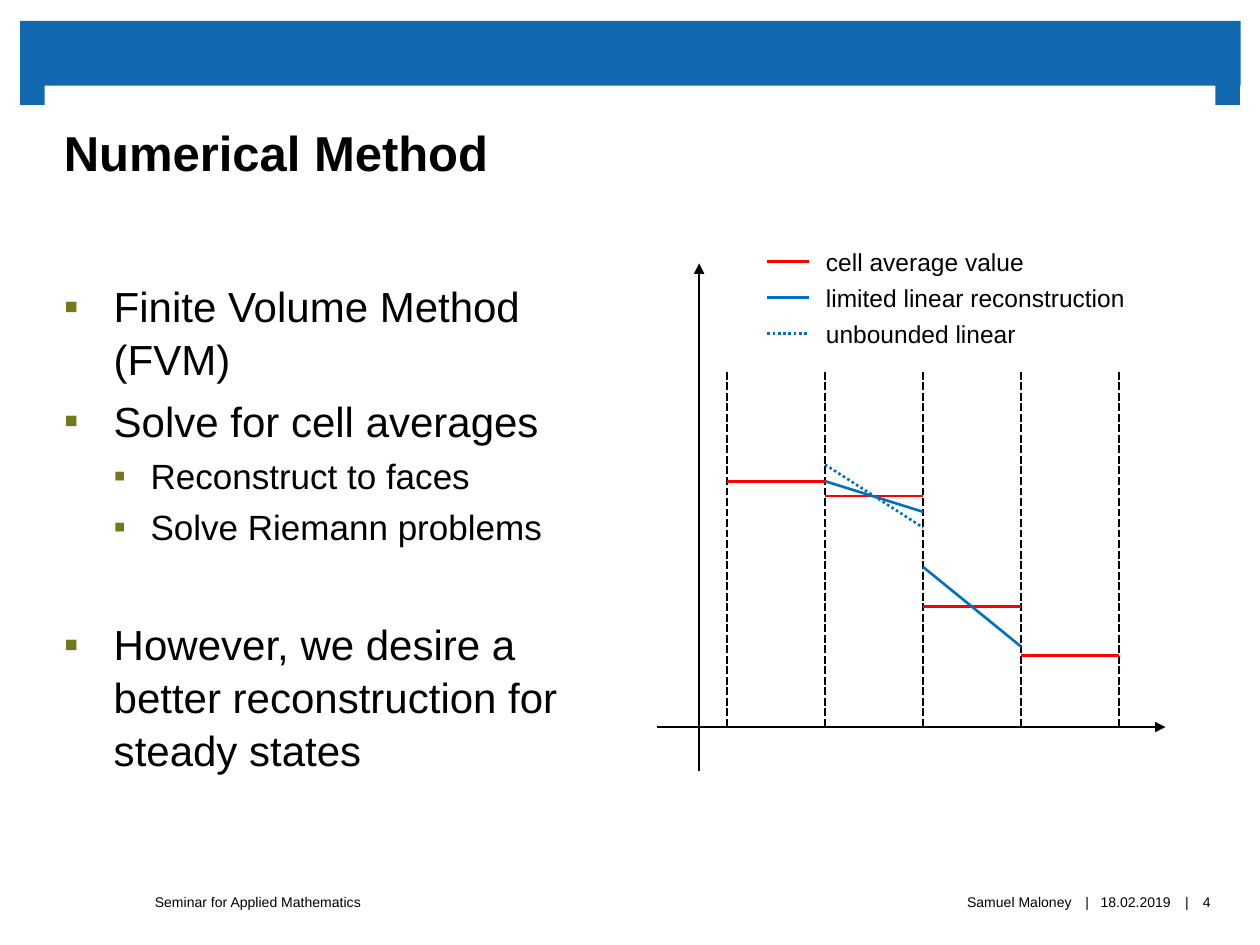
import pptx
import pptx.util
from lxml import etree
from pptx.dml.color import RGBColor
from pptx.enum.dml import MSO_LINE
from pptx.enum.shapes import MSO_CONNECTOR, MSO_SHAPE
from pptx.enum.text import MSO_ANCHOR, PP_ALIGN
from pptx.oxml.ns import qn

Pt = pptx.util.Pt
FONT = "Arial"
COLORS = {
    "banner": "1269B0",
    "bullet": "72791C",
    "text": "000000",
    "paper": "FFFFFF",
    "average": "FF0000",
    "reconstruction": "0070C0",
}


def add_line(start, end, color, dash=None, arrow=False):
    line = slide.shapes.add_connector(
        MSO_CONNECTOR.STRAIGHT, *(Pt(v) for v in (*start, *end)))
    line.line.color.rgb = RGBColor.from_string(COLORS[color])
    line.line.width = Pt(1.5)
    if dash:
        line.line.dash_style = dash
    if arrow:
        outline = line.line._get_or_add_ln()
        etree.SubElement(outline, qn("a:tailEnd"), type="triangle")
    etree.SubElement(line._element.spPr, qn("a:effectLst"))


def add_label(text, left, top, width, height, size, align=PP_ALIGN.LEFT):
    """Add a one-line text box without insets, centred vertically."""
    box = slide.shapes.add_textbox(Pt(left), Pt(top), Pt(width), Pt(height))
    frame = box.text_frame
    frame.margin_left = frame.margin_right = 0
    frame.margin_top = frame.margin_bottom = 0
    frame.vertical_anchor = MSO_ANCHOR.MIDDLE
    frame.word_wrap = True
    frame.text = text
    paragraph = frame.paragraphs[0]
    paragraph.alignment = align
    paragraph.font.size = Pt(size)
    paragraph.font.name = FONT
    paragraph.font.color.rgb = RGBColor.from_string(COLORS["text"])


prs = pptx.Presentation()
prs.slide_width, prs.slide_height = Pt(720), Pt(540)
slide = prs.slides.add_slide(prs.slide_layouts[1])
title, body = slide.placeholders[0], slide.placeholders[1]

# Banner with its two corner tabs
for left, top, width, height in [(11.5, 12, 697.5, 37),
                                 (11.5, 47, 14, 13),
                                 (694.5, 47, 14, 13)]:
    banner = slide.shapes.add_shape(
        MSO_SHAPE.RECTANGLE, Pt(left), Pt(top), Pt(width), Pt(height))
    banner.shadow.inherit = False
    banner.fill.solid()
    banner.fill.fore_color.rgb = RGBColor.from_string(COLORS["banner"])
    banner.line.fill.background()

# Title and list
for holder, top, width, height in [(title, 49, 669, 76), (body, 159, 343.5, 331)]:
    holder.left, holder.top = Pt(25.5), Pt(top)
    holder.width, holder.height = Pt(width), Pt(height)
    frame = holder.text_frame
    frame.margin_left, frame.margin_right = Pt(11), Pt(11.5)
    frame.margin_top = frame.margin_bottom = 0
    frame.word_wrap = True

title.text_frame.text = "Numerical Method"
title.text_frame.vertical_anchor = MSO_ANCHOR.MIDDLE
heading = title.text_frame.paragraphs[0]
heading.alignment = PP_ALIGN.LEFT
heading.font.size = Pt(28)
heading.font.bold = True
heading.font.name = FONT
heading.font.color.rgb = RGBColor.from_string(COLORS["text"])

# (text, level, space before)
points = [
    ("Finite Volume Method (FVM)", 0, 0),
    ("Solve for cell averages", 0, 5),
    ("Reconstruct to faces", 1, 4),
    ("Solve Riemann problems", 1, 4),
    ("However, we desire a better reconstruction for steady states", 0, 39),
]
body.text_frame.text = "\n".join(text for text, _, _ in points)
# (left margin, hanging indent, font size) per level
levels = [(28.5, 28.5, 24), (49.5, 21, 20)]
for paragraph, (_, level, space) in zip(body.text_frame.paragraphs, points):
    margin, hanging, size = levels[level]
    paragraph.level = level
    paragraph.line_spacing = 1.05
    paragraph.space_before = Pt(space)
    properties = paragraph._p.get_or_add_pPr()
    properties.set("marL", str(Pt(margin)))
    properties.set("indent", str(-Pt(hanging)))
    bullet_color = etree.SubElement(properties, qn("a:buClr"))
    etree.SubElement(bullet_color, qn("a:srgbClr"), val=COLORS["bullet"])
    etree.SubElement(properties, qn("a:buFont"), typeface=FONT)
    etree.SubElement(properties, qn("a:buChar"), char="▪")
    paragraph.font.size = Pt(size)
    paragraph.font.name = FONT
    paragraph.font.color.rgb = RGBColor.from_string(COLORS["text"])

# Axes and cell faces
axis_y = 415.5
add_line((399.5, 440.5), (399.5, 150.5), "text", arrow=True)
add_line((375.5, axis_y), (666, axis_y), "text", arrow=True)
faces = [415.5 + 56 * i for i in range(5)]
for face in faces:
    add_line((face, 212.5), (face, axis_y), "text", MSO_LINE.SQUARE_DOT)

# Cell averages, then the reconstructions as (cell, left value, right value, dash)
for left, right, average in zip(faces, faces[1:], [275, 283.5, 346.5, 374.5]):
    add_line((left, average), (right, average), "average")
for cell, start, end, dash in [(1, 275, 292.5, None),
                               (1, 265.5, 301.5, MSO_LINE.ROUND_DOT),
                               (2, 324, 369.5, None)]:
    add_line((faces[cell], start), (faces[cell + 1], end), "reconstruction", dash)

# Legend
legend = [
    ("cell average value", "average", None),
    ("limited linear reconstruction", "reconstruction", None),
    ("unbounded linear", "reconstruction", MSO_LINE.ROUND_DOT),
]
for row, (text, color, dash) in enumerate(legend):
    y = 149.5 + 20.5 * row
    add_line((438.5, y), (462.5, y), color, dash)
    add_label(text, 472, y - 12, 185, 24, 14)

# Footer
for text, left, width, align in [
    ("Seminar for Applied Mathematics", 88.5, 280, PP_ALIGN.LEFT),
    ("Samuel Maloney", 369, 243.5, PP_ALIGN.RIGHT),
    ("|", 617, 8.5, PP_ALIGN.CENTER),
    ("18.02.2019", 625, 48, PP_ALIGN.CENTER),
    ("|", 674, 8.5, PP_ALIGN.CENTER),
    ("4", 679, 21, PP_ALIGN.CENTER),
]:
    add_label(text, left, 497, width, 36.5, 8, align)

prs.save("out.pptx")
